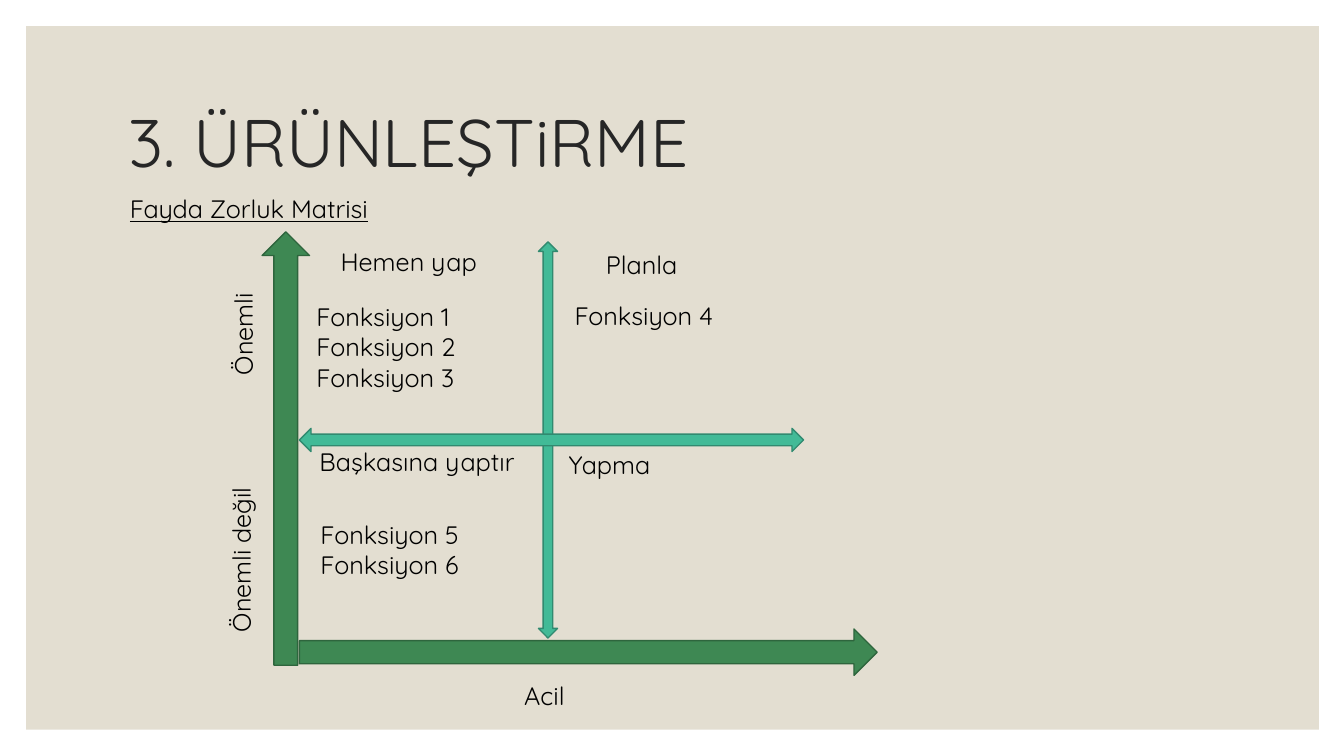
from dataclasses import dataclass

from pptx import Presentation
from pptx.dml.color import RGBColor
from pptx.enum.shapes import MSO_SHAPE
from pptx.enum.text import MSO_ANCHOR, MSO_AUTO_SIZE, PP_ALIGN
from pptx.util import Emu, Pt

EMU_PER_PX = 9144  # 100 px to the inch


@dataclass(frozen=True)
class Theme:
    font: str = "Quicksand"
    title_size: int = 48
    text_size: int = 18
    background: str = "FFFFFF"
    panel: str = "E3DED1"
    title: str = "262626"
    text: str = "000000"
    axis: tuple = ("3E8853", "2E653D")
    divider: tuple = ("42BA97", "318A70")


THEME = Theme()

AXES = [
    (MSO_SHAPE.UP_ARROW, (260, 230, 47, 430)),
    (MSO_SHAPE.RIGHT_ARROW, (297, 624, 573, 46)),
]
DIVIDERS = [
    (MSO_SHAPE.UP_DOWN_ARROW, (534, 240, 19, 393)),
    (MSO_SHAPE.LEFT_RIGHT_ARROW, (297, 425, 500, 23)),
]
AXIS_LABELS = [
    ("Önemli", (141, 262, 200, 40), 270),
    ("Önemli değil", (139, 517, 200, 40), 270),
    ("Acil", (510, 670, 198, 40), 0),
]
QUADRANT_NAMES = [
    ("Hemen yap", (328, 239, 200, 40)),
    ("Planla", (591, 242, 241, 40)),
    ("Başkasına yaptır", (307, 438, 241, 40)),
    ("Yapma", (554, 441, 295, 40)),
]
QUADRANT_ITEMS = [
    ([1, 2, 3], (304, 294, 227, 131)),
    ([4], (560, 293, 200, 71)),
    ([5, 6], (308, 510, 200, 71)),
]


def px(*lengths):
    return [Emu(length * EMU_PER_PX) for length in lengths]


def color(value):
    return RGBColor.from_string(value)


def style_paragraph(paragraph, size, text_color):
    paragraph.font.name = THEME.font
    paragraph.font.size = Pt(size)
    paragraph.font.color.rgb = color(text_color)
    paragraph.alignment = PP_ALIGN.LEFT


def add_filled_shape(slide, preset, box, fill, outline=None):
    shape = slide.shapes.add_shape(preset, *px(*box))
    shape.shadow.inherit = False
    shape.fill.solid()
    shape.fill.fore_color.rgb = color(fill)
    if outline:
        shape.line.color.rgb = color(outline)
        shape.line.width = Pt(1)
    else:
        shape.line.fill.background()
    return shape


def add_text(slide, lines, box, rotation=0, underline=None):
    text_box = slide.shapes.add_textbox(*px(*box))
    text_box.rotation = rotation
    frame = text_box.text_frame
    frame.word_wrap = True
    frame.text = "\n".join(lines)
    for paragraph in frame.paragraphs:
        style_paragraph(paragraph, THEME.text_size, THEME.text)
        paragraph.font.underline = underline


def set_title(slide, text, box):
    title = slide.shapes.title
    title.left, title.top, title.width, title.height = px(*box)
    frame = title.text_frame
    frame.text = text
    frame.word_wrap = True
    frame.auto_size = MSO_AUTO_SIZE.NONE
    frame.vertical_anchor = MSO_ANCHOR.MIDDLE
    paragraph = frame.paragraphs[0]
    style_paragraph(paragraph, THEME.title_size, THEME.title)
    paragraph.line_spacing = 0.9


def add_panel(slide):
    """Add the tinted panel behind everything else, the title included."""
    slide.background.fill.solid()
    slide.background.fill.fore_color.rgb = color(THEME.background)
    panel = add_filled_shape(slide, MSO_SHAPE.RECTANGLE, (26, 26, 1282, 698), THEME.panel)
    title = slide.shapes.title
    title.element.addprevious(panel.element)


def add_matrix(slide):
    for arrows, colors in ((AXES, THEME.axis), (DIVIDERS, THEME.divider)):
        for preset, box in arrows:
            add_filled_shape(slide, preset, box, *colors)
    for label, box, rotation in AXIS_LABELS:
        add_text(slide, [label], box, rotation)
    for name, box in QUADRANT_NAMES:
        add_text(slide, [name], box)
    for numbers, box in QUADRANT_ITEMS:
        add_text(slide, [f"Fonksiyon {number}" for number in numbers], box)


def main():
    presentation = Presentation()
    presentation.slide_width, presentation.slide_height = px(1333, 750)
    slide = presentation.slides.add_slide(presentation.slide_layouts[5])
    add_panel(slide)
    set_title(slide, "3. ÜRÜNLEŞTiRME", (117, 70, 1100, 150))
    add_text(slide, ["Fayda Zorluk Matrisi"], (119, 187, 336, 40), underline=True)
    add_matrix(slide)
    presentation.save("out.pptx")


if __name__ == "__main__":
    main()
